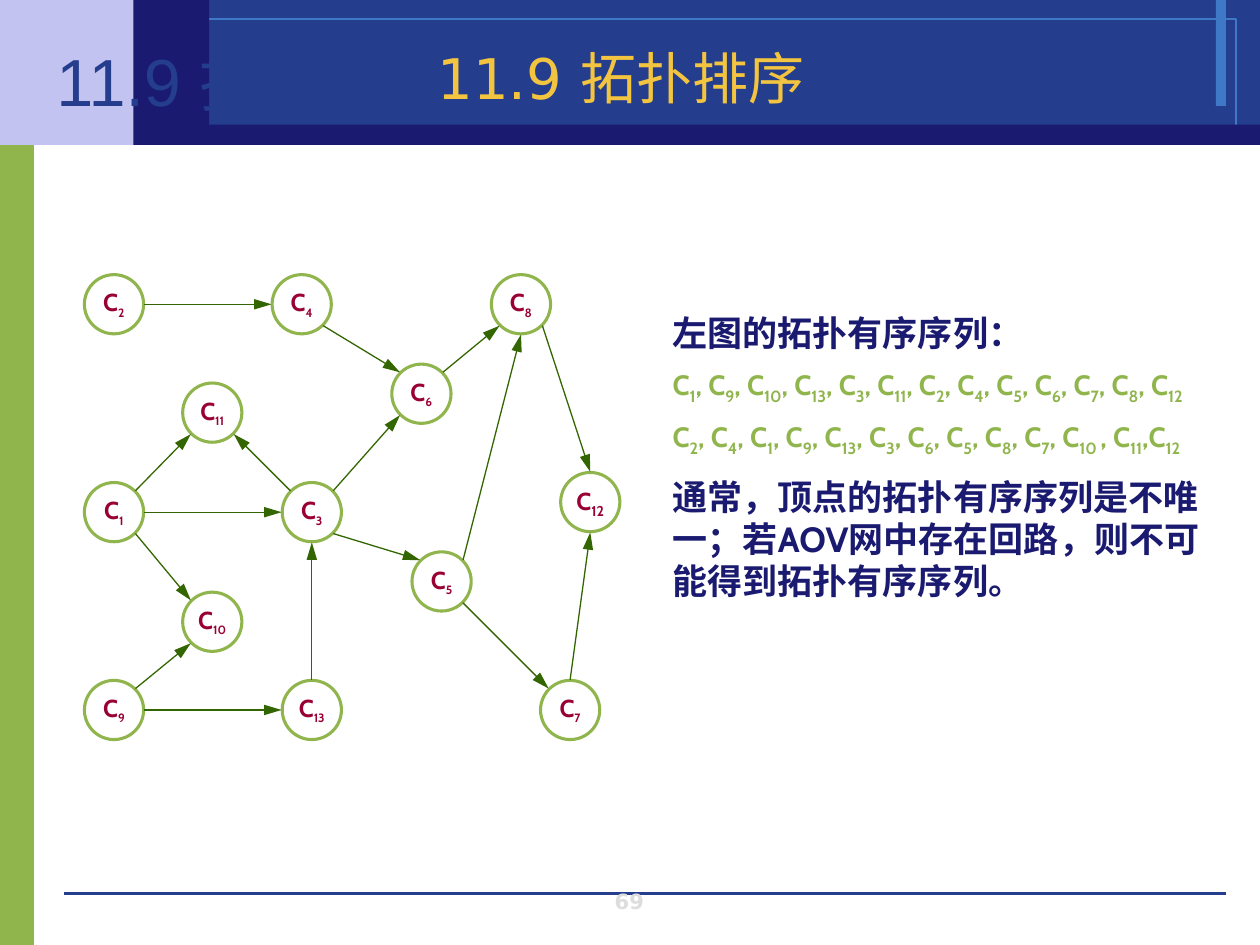
"""Build the topological sorting slide: an AOV network beside its orderings."""
import pptx
import pptx.dml.color
import pptx.enum.shapes
import pptx.enum.text
import pptx.oxml.ns
import pptx.oxml.xmlchemy
import pptx.util

Inches, Pt = pptx.util.Inches, pptx.util.Pt
SHAPE = pptx.enum.shapes.MSO_SHAPE
ANCHOR = pptx.enum.text.MSO_ANCHOR
CENTER = pptx.enum.text.PP_ALIGN.CENTER
qn = pptx.oxml.ns.qn
new_element = pptx.oxml.xmlchemy.OxmlElement

COLORS = {
    "green": "90B54D", "lilac": "C3C3F1", "blue": "243D8C", "sky": "3E78C6",
    "navy": "1A1A70", "gold": "F3C43F", "crimson": "990033",
    "edge": "336600", "grey": "DDDDDD",
}
BANDS = [
    ((0, 1.07, 0.27, 6.44), "green", None),
    ((0, 0, 1.53, 1.15), "lilac", None),
    ((1.53, 0, 8.47, 1.15), "blue", None),
    ((9.65, 0, 0.08, 0.84), "sky", None),
    ((1.19, 0.15, 8.62, 0.85), None, "sky"),
    ((1.3, 0.99, 8.7, 0.16), "navy", None),
    ((1.06, 0, 0.6, 1.15), "navy", None),
]
FOOTER_RULE = ((0.51, 7.09), (9.73, 7.09))
TITLE = "11.9 拓扑排序"
PAGE = "69"
NODE_SIZE = 0.47
NODES = {
    2: (0.67, 2.18), 1: (0.67, 3.83), 9: (0.67, 5.4), 3: (2.24, 3.83),
    11: (1.45, 3.04), 4: (2.16, 2.18), 6: (3.11, 2.89), 12: (4.45, 3.75),
    8: (3.9, 2.18), 7: (4.29, 5.4), 5: (3.27, 4.38), 13: (2.24, 5.4),
    10: (1.45, 4.7),
}
SITES = {
    "N": (0, -0.24), "S": (0, 0.24), "W": (-0.24, 0), "E": (0.24, 0),
    "NW": (-0.17, -0.17), "NE": (0.17, -0.17),
    "SW": (-0.17, 0.17), "SE": (0.17, 0.17),
}
EDGES = [
    (9, "NE", 10, "SW"), (1, "SE", 10, "NW"), (2, "E", 4, "W"),
    (4, "SE", 6, "NW"), (1, "E", 3, "W"), (3, "NW", 11, "SE"),
    (1, "NE", 11, "SW"), (9, "E", 13, "W"), (13, "N", 3, "S"),
    (3, "NE", 6, "SW"), (3, "SE", 5, "NW"), (5, "SE", 7, "NW"),
    (5, "NE", 8, "S"), (6, "NE", 8, "SW"), (8, "SE", 12, "N"),
    (7, "N", 12, "S"),
]
NOTES = [
    ("左图的拓扑有序序列：", 20, "navy", 0.8),
    ("C_1_, C_9_, C_10_, C_13_, C_3_, C_11_, C_2_, C_4_, C_5_, C_6_, C_7_, C_8_, C_12_",
     16, "green", None),
    ("C_2_, C_4_, C_1_, C_9_, C_13_, C_3_, C_6_, C_5_, C_8_, C_7_, C_10 _, C_11_,C_12_",
     16, "green", None),
    ("通常，顶点的拓扑有序序列是不唯一；若AOV网中存在回路，则不可能得到拓扑有序序列。",
     20, "navy", None),
]


def rgb(name):
    return pptx.dml.color.RGBColor.from_string(COLORS[name])


def add_shape(shapes, kind, box, fill=None, line=None, width=0):
    sp = shapes.add_shape(kind, *map(Inches, box))
    sp.shadow.inherit = False
    if fill:
        sp.fill.solid()
        sp.fill.fore_color.rgb = rgb(fill)
    else:
        sp.fill.background()
    if line:
        sp.line.color.rgb = rgb(line)
        sp.line.width = Pt(width)
    else:
        sp.line.fill.background()
    return sp


def add_line(shapes, start, end, color, width, arrow=False):
    points = map(Inches, (*start, *end))
    sp = shapes.add_connector(pptx.enum.shapes.MSO_CONNECTOR.STRAIGHT, *points)
    sp.line.color.rgb = rgb(color)
    sp.line.width = Pt(width)
    spPr = sp._element.spPr
    if arrow:
        tail = new_element("a:tailEnd")
        for key, value in (("type", "triangle"), ("w", "med"), ("len", "lg")):
            tail.set(key, value)
        spPr.find(qn("a:ln")).append(tail)
    spPr.append(new_element("a:effectLst"))


def add_runs(p, text, size, font, color, bold=True, sub_size=None):
    """Write text whose parts between underscores are subscripts."""
    for i, part in enumerate(text.split("_")):
        if not part:
            continue
        r = p.add_run()
        r.text = part
        r.font.size = Pt(sub_size if sub_size and i % 2 else size)
        r.font.bold = bold
        r.font.color.rgb = rgb(color)
        r.font.name = font
        rPr = r._r.get_or_add_rPr()
        ea = new_element("a:ea")
        ea.set("typeface", font)
        rPr.find(qn("a:latin")).addnext(ea)
        if i % 2:
            rPr.set("baseline", "-25000")


def space_before(p, percent):
    p.space_before = Pt(1)
    spacing = p._p.pPr.find(qn("a:spcBef"))
    spacing.remove(spacing[0])
    pct = new_element("a:spcPct")
    pct.set("val", str(percent * 1000))
    spacing.append(pct)


def add_text(s, box, anchor):
    tf = s.shapes.add_textbox(*map(Inches, box)).text_frame
    tf.word_wrap = True
    tf.vertical_anchor = anchor
    return tf


def add_network(s):
    shapes = s.shapes.add_group_shape().shapes
    for number, (x, y) in NODES.items():
        box = (x, y, NODE_SIZE, NODE_SIZE)
        tf = add_shape(shapes, SHAPE.OVAL, box, line="green", width=1.75).text_frame
        tf.word_wrap = False
        tf.vertical_anchor = ANCHOR.MIDDLE
        p = tf.paragraphs[0]
        p.alignment = CENTER
        p.line_spacing = 0.8
        space_before(p, 20)
        add_runs(p, f"C_{number}", 14, "Cabin", "crimson",
                 sub_size=14 if number == 12 else 12)

    def site(number, side):
        return [a + NODE_SIZE / 2 + d for a, d in zip(NODES[number], SITES[side])]

    for source, out, target, into in EDGES:
        add_line(shapes, site(source, out), site(target, into), "edge", 0.75, True)


def main():
    prs = pptx.Presentation()
    prs.slide_width, prs.slide_height = Inches(10), Inches(7.5)
    s = prs.slides.add_slide(prs.slide_layouts[6])

    for box, fill, line in BANDS:
        add_shape(s.shapes, SHAPE.RECTANGLE, box, fill, line)
    add_line(s.shapes, *FOOTER_RULE, "blue", 0)

    p = add_text(s, (3.83, 7.05, 2.33, 0.25), ANCHOR.BOTTOM).paragraphs[0]
    p.alignment = CENTER
    add_runs(p, PAGE, 12, "DejaVu Sans", "grey")

    add_network(s)

    tf = add_text(s, (5.24, 2.49, 4.57, 2.89), ANCHOR.TOP)
    for i, (text, size, color, spacing) in enumerate(NOTES):
        p = tf.add_paragraph() if i else tf.paragraphs[0]
        p.line_spacing = spacing
        space_before(p, 50)
        add_runs(p, text, size, "Cabin", color)

    p = add_text(s, (0.35, 0.21, 9, 0.79), ANCHOR.BOTTOM).paragraphs[0]
    add_runs(p, TITLE, 38, "Arial", "blue", bold=False)
    p = add_text(s, (0.43, 0.14, 9, 0.79), ANCHOR.BOTTOM).paragraphs[0]
    p.alignment = CENTER
    add_runs(p, TITLE, 32, "DejaVu Sans", "gold", bold=False)

    prs.save("out.pptx")


if __name__ == "__main__":
    main()
